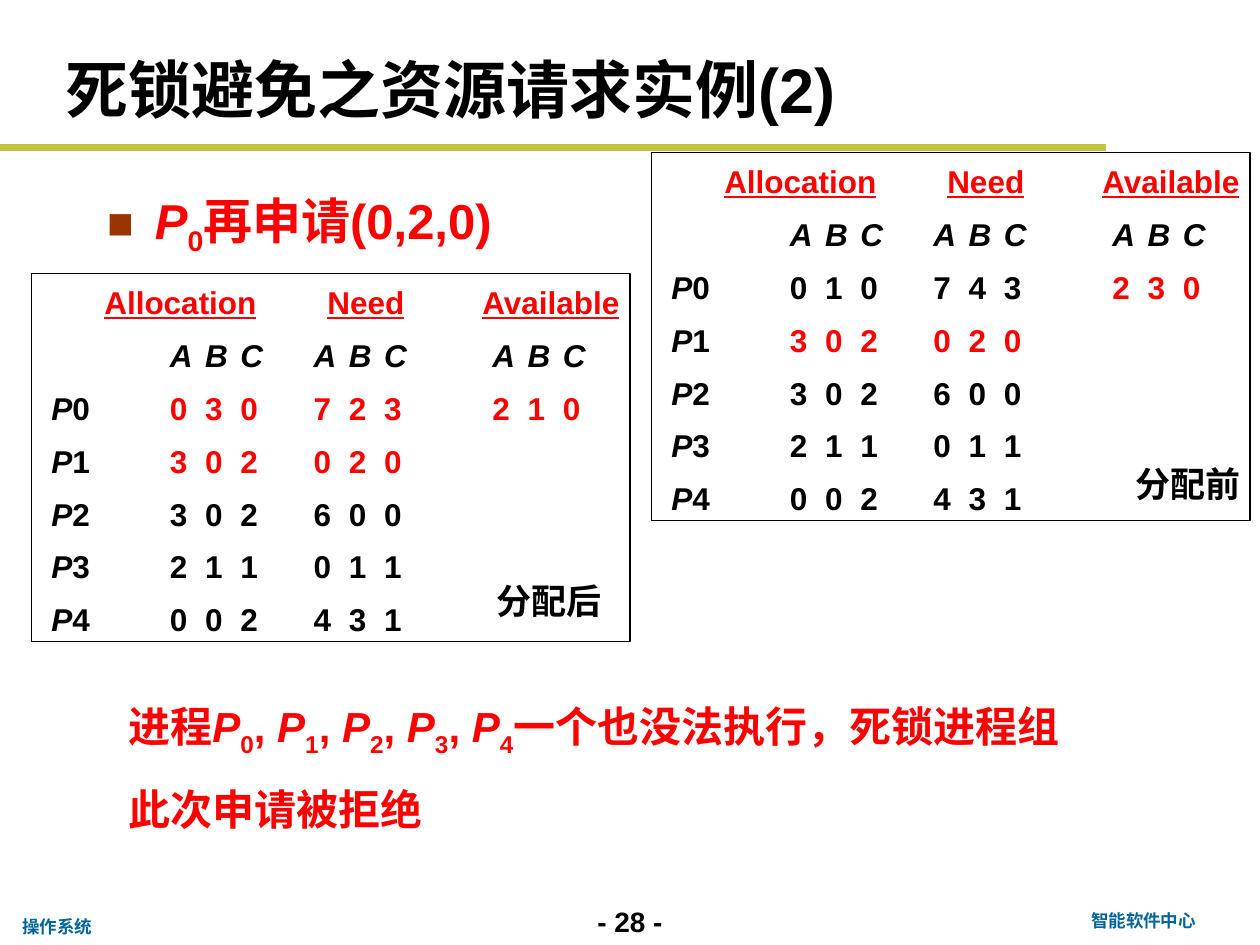
import pptx
import pptx.util
import pptx.dml.color
import pptx.enum.shapes
import pptx.enum.text
import lxml.etree
from pptx.util import Inches

COLORS = {"black": "000000", "red": "FF0000", "rule": "C1C43C",
          "footer": "006699", "bullet": "993300"}
A_NS = "http://schemas.openxmlformats.org/drawingml/2006/main"
ALIGN = pptx.enum.text.PP_ALIGN
ANCHOR = pptx.enum.text.MSO_ANCHOR

HEADINGS = ["Allocation", "Need", "Available"]
HEADING_STOPS = [1.48, 3.25, 4.48]
GROUP_STARTS = [2.0, 3.14, 4.56]
DIGIT_STEP = 0.28
ROW_STOPS = [1.06] + [start + DIGIT_STEP * i for start in GROUP_STARTS for i in range(3)]

# Each row: allocation, need and, for the first process, available
SHARED_ROWS = [("302", "020"), ("302", "600"), ("211", "011"), ("002", "431")]
BEFORE = [("010", "743", "230")] + SHARED_ROWS
AFTER = [("030", "723", "210")] + SHARED_ROWS
# Red groups as (process, column)
RED_BEFORE = {(0, 2), (1, 0), (1, 1)}
RED_AFTER = {(0, 0), (0, 1), (0, 2), (1, 0), (1, 1)}


def color(name):
    return pptx.dml.color.RGBColor.from_string(COLORS[name])


def a_element(parent, tag, **attributes):
    return lxml.etree.SubElement(parent, f"{{{A_NS}}}{tag}", attributes)


def process(number):
    """Runs for a process name with a subscript number."""
    return [("P", {"italic": True}), (str(number), {"subscript": True})]


class SlideBuilder:
    font = "Arial"

    def __init__(self, slide):
        self.slide = slide
        self.shapes = slide.shapes

    def add_runs(self, paragraph, runs, size, ink="black"):
        """Add bold runs, each a (text, differences) pair."""
        for text, style in runs:
            run = paragraph.add_run()
            run.text = text
            run.font.name = self.font
            run.font.size = pptx.util.Pt(size)
            run.font.bold = True
            run.font.italic = style.get("italic", False)
            run.font.underline = style.get("underline", False)
            run.font.color.rgb = color(style.get("ink", ink))
            if style.get("subscript"):
                run._r.get_or_add_rPr().set("baseline", "-25000")

    def place(self, placeholder, box, anchor):
        placeholder.left, placeholder.top, placeholder.width, placeholder.height = map(Inches, box)
        frame = placeholder.text_frame
        frame.auto_size = pptx.enum.text.MSO_AUTO_SIZE.NONE
        frame.vertical_anchor = anchor
        return frame.paragraphs[0]

    def title(self, text, box):
        paragraph = self.place(self.shapes.title, box, ANCHOR.MIDDLE)
        paragraph.alignment = ALIGN.LEFT
        self.add_runs(paragraph, [(text, {})], 36)

    def bullet(self, runs, box):
        paragraph = self.place(self.slide.placeholders[1], box, ANCHOR.TOP)
        paragraph.line_spacing = 1.3
        paragraph.space_before = pptx.util.Pt(0)
        properties = paragraph._p.get_or_add_pPr()
        properties.set("marL", str(Inches(0.38)))
        properties.set("indent", str(Inches(-0.38)))
        a_element(a_element(properties, "buClr"), "srgbClr", val=COLORS["bullet"])
        a_element(properties, "buSzPct", val="90000")
        a_element(properties, "buFont", typeface=self.font)
        a_element(properties, "buChar", char="■")
        self.add_runs(paragraph, runs, 28, "red")

    def text(self, runs, box, size, ink="black", align=ALIGN.LEFT, wrap=True,
             spacing=1.0, indent=0):
        frame = self.shapes.add_textbox(*map(Inches, box)).text_frame
        frame.word_wrap = wrap
        paragraph = frame.paragraphs[0]
        paragraph.alignment = align
        paragraph.line_spacing = spacing
        paragraph._p.get_or_add_pPr().set("marL", str(Inches(indent)))
        self.add_runs(paragraph, runs, size, ink)

    def rule(self, top, right):
        line = self.shapes.add_connector(pptx.enum.shapes.MSO_CONNECTOR.STRAIGHT,
                                         0, Inches(top), Inches(right), Inches(top))
        line.line.color.rgb = color("rule")
        line.line.width = pptx.util.Pt(4)
        a_element(line._element.spPr, "effectLst")

    def matrix_line(self, paragraph, stops, runs):
        paragraph.line_spacing = pptx.util.Pt(30.2)
        tabs = a_element(paragraph._p.get_or_add_pPr(), "tabLst")
        for stop in stops:
            a_element(tabs, "tab", pos=str(Inches(stop)), algn="l")
        self.add_runs(paragraph, runs, 18)

    def matrix(self, left, top, rows, red):
        """Framed resource matrix, set on tab stops; left and top are the text box's."""
        frame = self.shapes.add_textbox(Inches(left), Inches(top),
                                        Inches(6.17), Inches(3.04)).text_frame
        frame.word_wrap = True
        self.matrix_line(frame.paragraphs[0], HEADING_STOPS, [
            ("\t", {}), ("\t".join(HEADINGS), {"ink": "red", "underline": True})])
        self.matrix_line(frame.add_paragraph(), ROW_STOPS[1:],
                         [("\t" + "\t".join("ABC" * 3), {"italic": True})])
        for number, groups in enumerate(rows):
            runs = [("\t", {}), ("P", {"italic": True}), (str(number), {})]
            for column, digits in enumerate(groups):
                ink = "red" if (number, column) in red else "black"
                runs.append(("\t" + "\t".join(digits), {"ink": ink}))
            self.matrix_line(frame.add_paragraph(), ROW_STOPS, runs)
        border = self.shapes.add_shape(pptx.enum.shapes.MSO_SHAPE.RECTANGLE,
                                       Inches(left + 1), Inches(top + 0.09),
                                       Inches(4.75), Inches(2.92))
        border.shadow.inherit = False
        border.fill.background()
        border.line.color.rgb = color("black")
        border.line.width = pptx.util.Pt(0.75)


def main():
    deck = pptx.Presentation()
    deck.slide_width, deck.slide_height = Inches(10), Inches(7.5)
    page = SlideBuilder(deck.slides.add_slide(deck.slide_layouts[1]))

    page.text([("- 28 -", {})], (4.5, 7.13, 1, 0.37), 16, align=ALIGN.CENTER)
    page.rule(1.17, 8.78)
    page.text([("智能软件中心", {})], (8.25, 7.17, 1.65, 0.27), 10, "footer", ALIGN.CENTER)
    page.text([("操作系统", {})], (0.08, 7.22, 0.8, 0.27), 10, "footer", wrap=False)

    page.title("死锁避免之资源请求实例(2)", (0.42, 0.33, 8.58, 0.74))
    page.bullet(process(0) + [("再申请(0,2,0)", {})], (0.75, 1.3, 3.83, 0.95))

    page.matrix(4.17, 1.12, BEFORE, RED_BEFORE)
    page.text([("分配前", {})], (8.91, 3.62, 1.05, 0.44), 20, wrap=False)
    page.matrix(-0.75, 2.08, AFTER, RED_AFTER)
    page.text([("分配后", {})], (3.84, 4.55, 1.05, 0.44), 20, wrap=False)

    conclusion = [("进程", {})] + process(0)
    for number in range(1, 5):
        conclusion += [(", ", {})] + process(number)
    conclusion.append(("一个也没法执行，死锁进程组", {}))
    page.text(conclusion, (0.42, 5.42, 9.08, 0.58), 24, "red", spacing=1.2, indent=0.5)
    page.text([("此次申请被拒绝", {})], (0.42, 6.09, 5.75, 0.58), 24, "red",
              spacing=1.2, indent=0.5)

    deck.save("out.pptx")


if __name__ == "__main__":
    main()
